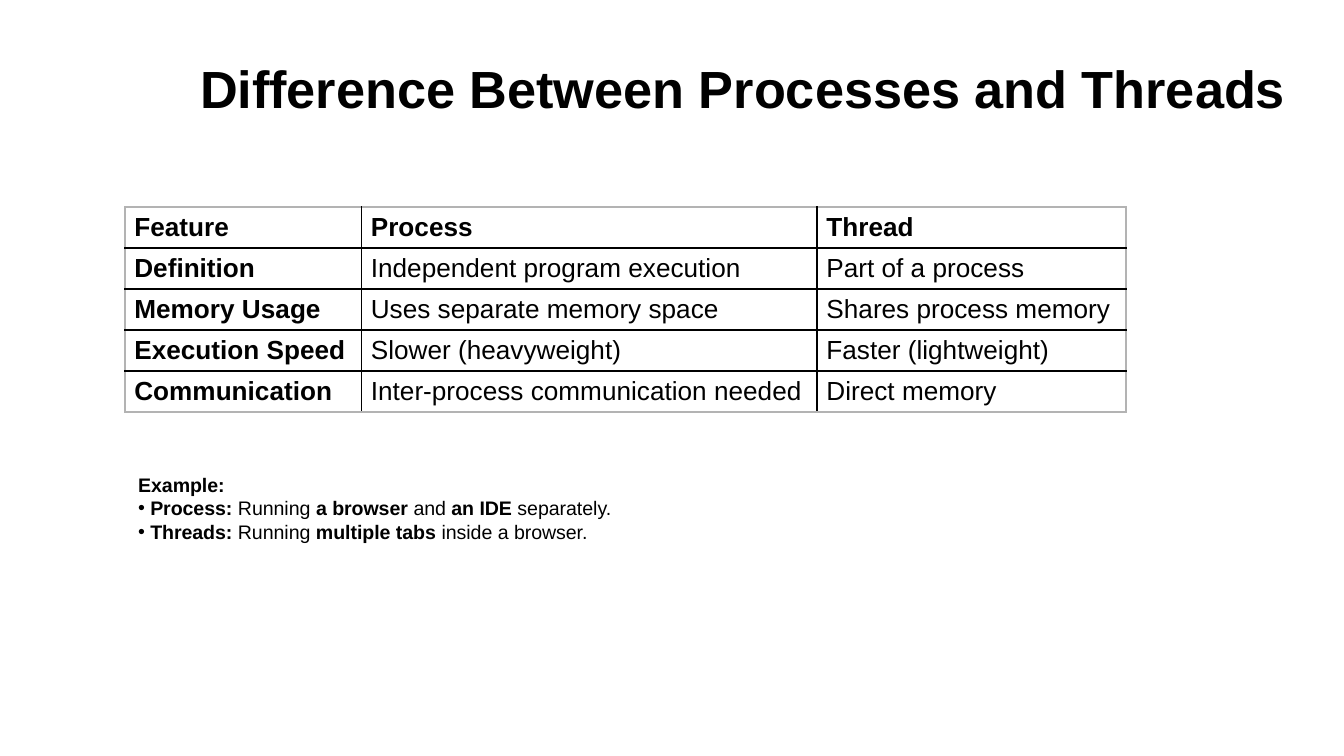
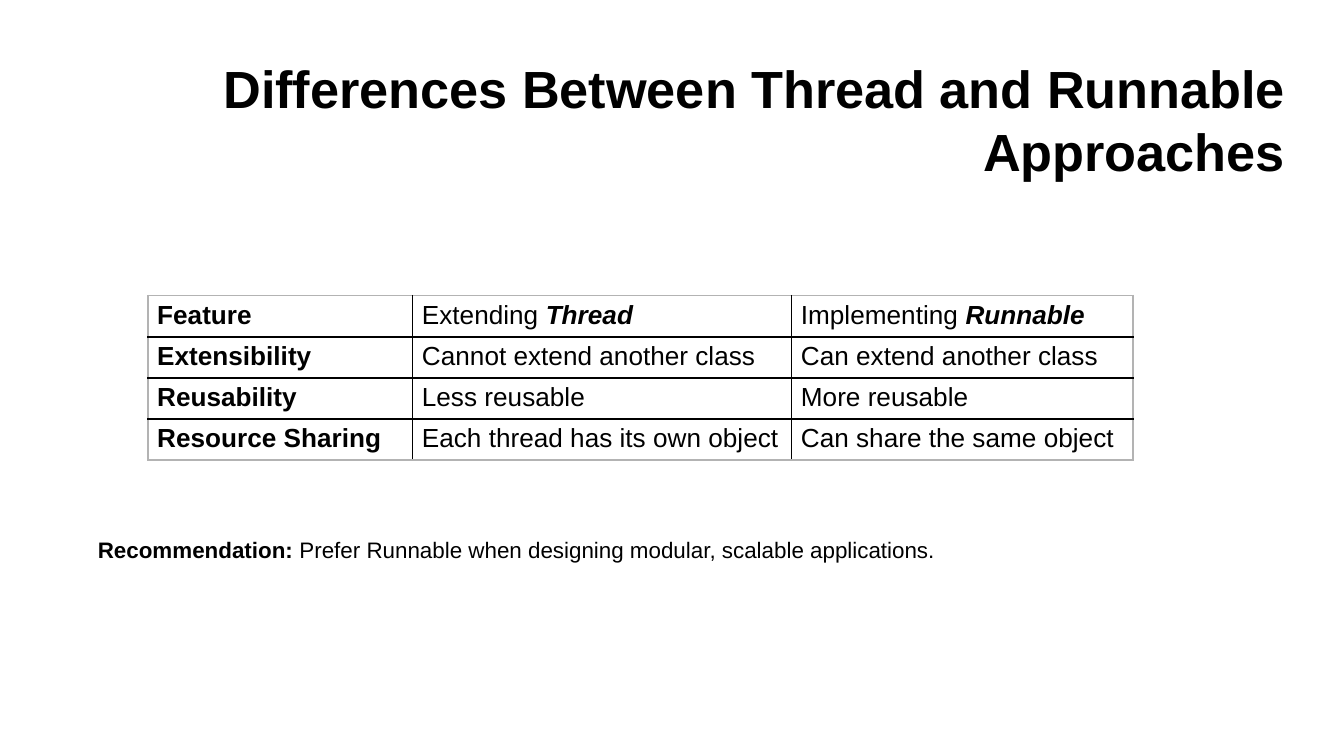
import pptx
import pptx.util
import pptx.oxml
import pptx.oxml.ns
import pptx.dml.color
import pptx.enum.text

Inches = pptx.util.Inches

COLORS = {"text": "000000", "grid": "000000", "frame": "B3B3B3", "page": "FFFFFF"}
FONT = "Arial"
PLAIN, BOLD, STRONG = {}, {"bold": True}, {"bold": True, "italic": True}
PAGE_WIDTH = Inches(10)
PAGE_HEIGHT = PAGE_WIDTH * 9 // 16
TITLE_TOP, TITLE_RIGHT = 0.32, 9.66
ROW_HEIGHT = pptx.util.Pt(22)
TITLE_SIZE, TABLE_SIZE = 28, 14
BULLET_INDENT = 0.09
TITLE_FRAME = {
    "margin_left": Inches(0.1), "margin_right": Inches(0.1),
    "margin_top": Inches(0.1), "margin_bottom": Inches(0.1),
    "word_wrap": True,
    "vertical_anchor": pptx.enum.text.MSO_ANCHOR.TOP,
    "auto_size": pptx.enum.text.MSO_AUTO_SIZE.NONE,
}
NOTE_FRAME = {"word_wrap": True, "auto_size": pptx.enum.text.MSO_AUTO_SIZE.SHAPE_TO_FIT_TEXT}
CELL_FRAME = {
    "margin_left": Inches(0.07), "margin_right": Inches(0.07),
    "margin_top": Inches(0.04), "margin_bottom": Inches(0.04),
}

PAGES = [
    {
        "title": "Difference Between Processes and Threads",
        "title_left": 0.34,
        "title_height": 0.84,
        "table_at": (0.93, 1.54),
        "columns": (1.76, 3.39, 2.3),
        "rows": [
            ("Feature", [("Process", BOLD)], [("Thread", BOLD)]),
            ("Definition", "Independent program execution", "Part of a process"),
            ("Memory Usage", "Uses separate memory space", "Shares process memory"),
            ("Execution Speed", "Slower (heavyweight)", "Faster (lightweight)"),
            ("Communication", "Inter-process communication needed", "Direct memory"),
        ],
        "note_at": (0.93, 3.47, 5, 0.63),
        "note_size": 10.5,
        "note": [[("Example:", BOLD)]],
        "bullets": [
            [("Process:", BOLD), (" Running ", PLAIN), ("a browser", BOLD),
             (" and ", PLAIN), ("an IDE", BOLD), (" separately.", PLAIN)],
            [("Threads:", BOLD), (" Running ", PLAIN), ("multiple tabs", BOLD),
             (" inside a browser.", PLAIN)],
        ],
    },
    {
        "title": "Differences Between Thread and Runnable Approaches",
        "title_left": 1.18,
        "title_height": 1.14,
        "table_at": (1.1, 2.2),
        "columns": (1.97, 2.82, 2.54),
        "rows": [
            ("Feature", [("Extending ", PLAIN), ("Thread", STRONG)],
             [("Implementing ", PLAIN), ("Runnable", STRONG)]),
            ("Extensibility", "Cannot extend another class", "Can extend another class"),
            ("Reusability", "Less reusable", "More reusable"),
            ("Resource Sharing", "Each thread has its own object", "Can share the same object"),
        ],
        "note_at": (0.63, 3.94, 7.07, 0.3),
        "note_size": 12,
        "note": [[("Recommendation:", BOLD),
                  (" Prefer Runnable when designing modular, scalable applications.", PLAIN)]],
        "bullets": [],
    },
]


def apply(target, values):
    for name, value in values.items():
        setattr(target, name, value)


def write(para, spans, size):
    for text, style in spans:
        span = para.add_run()
        span.text = text
        values = {"name": FONT, "size": pptx.util.Pt(size), "bold": False, "italic": False}
        apply(span.font, {**values, **style})
        span.font.color.rgb = pptx.dml.color.RGBColor.from_string(COLORS["text"])


def add_bullet(para):
    properties = para._p.get_or_add_pPr()
    indent = Inches(BULLET_INDENT)
    properties.set("marL", str(indent))
    properties.set("indent", str(-indent))
    for element in (f'buFont {{}} typeface="{FONT}"', 'buChar {} char="•"'):
        namespace = pptx.oxml.ns.nsdecls("a")
        properties.append(pptx.oxml.parse_xml(f"<a:{element.format(namespace)}/>"))


def set_borders(cell, outer_sides):
    properties = cell._tc.get_or_add_tcPr()
    for position, side in enumerate("LRTB"):
        color = COLORS["frame" if side in outer_sides else "grid"]
        line = pptx.oxml.parse_xml(
            f'<a:ln{side} {pptx.oxml.ns.nsdecls("a")} w="{pptx.util.Pt(1)}">'
            f'<a:solidFill><a:srgbClr val="{color}"/></a:solidFill></a:ln{side}>'
        )
        properties.insert(position, line)


def add_title(slide, page):
    title = slide.shapes.title
    left = page["title_left"]
    apply(title, {
        "left": Inches(left), "top": Inches(TITLE_TOP),
        "width": Inches(TITLE_RIGHT - left), "height": Inches(page["title_height"]),
    })
    apply(title.text_frame, TITLE_FRAME)
    para = title.text_frame.paragraphs[0]
    para.alignment = pptx.enum.text.PP_ALIGN.RIGHT
    write(para, [(page["title"], BOLD)], TITLE_SIZE)


def add_comparison(slide, page):
    rows, widths = page["rows"], page["columns"]
    left, top = map(Inches, page["table_at"])
    frame = slide.shapes.add_table(
        len(rows), len(widths), left, top, Inches(sum(widths)), ROW_HEIGHT * len(rows))
    table = frame.table
    apply(table, {"first_row": False, "horz_banding": False})
    for column, width in zip(table.columns, widths):
        column.width = Inches(width)
    for row_index, row in enumerate(rows):
        table.rows[row_index].height = ROW_HEIGHT
        for column_index, content in enumerate(row):
            cell = table.cell(row_index, column_index)
            apply(cell, CELL_FRAME)
            cell.fill.background()
            edges = {
                "L": column_index == 0, "R": column_index == len(widths) - 1,
                "T": row_index == 0, "B": row_index == len(rows) - 1,
            }
            set_borders(cell, [side for side, outer in edges.items() if outer])
            if isinstance(content, str):
                content = [(content, PLAIN if column_index else BOLD)]
            write(cell.text_frame.paragraphs[0], content, TABLE_SIZE)


def add_note(slide, page):
    box = slide.shapes.add_textbox(*map(Inches, page["note_at"]))
    apply(box.text_frame, NOTE_FRAME)
    for index, spans in enumerate(page["note"] + page["bullets"]):
        para = box.text_frame.add_paragraph() if index else box.text_frame.paragraphs[0]
        if index >= len(page["note"]):
            add_bullet(para)
        write(para, spans, page["note_size"])


def main():
    deck = pptx.Presentation()
    apply(deck, {"slide_width": PAGE_WIDTH, "slide_height": PAGE_HEIGHT})
    background = deck.slide_master.background.fill
    background.solid()
    background.fore_color.rgb = pptx.dml.color.RGBColor.from_string(COLORS["page"])
    for page in PAGES:
        slide = deck.slides.add_slide(deck.slide_layouts[5])
        add_title(slide, page)
        add_comparison(slide, page)
        add_note(slide, page)
    deck.save("out.pptx")


if __name__ == "__main__":
    main()
